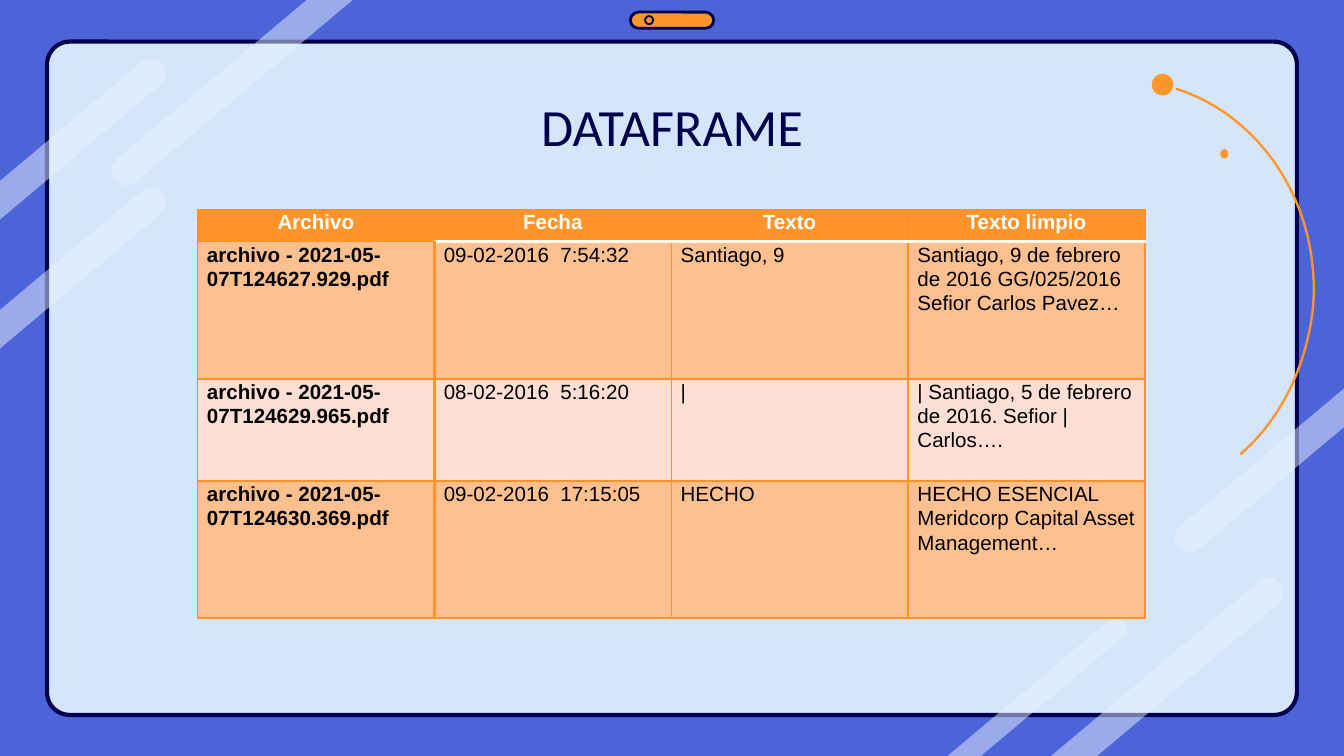
from math import atan2, cos, pi, radians, sin, tan

from lxml.etree import SubElement
from pptx import Presentation
from pptx.dml.color import RGBColor
from pptx.enum.shapes import MSO_SHAPE as Shape
from pptx.enum.text import MSO_ANCHOR as Anchor, PP_ALIGN as Align
from pptx.oxml.ns import qn
from pptx.util import Inches, Pt

COLORS = {
    "background": "4C64D8", "panel": "D5E6FC", "navy": "00004D",
    "stripe": "E9F3FF", "orange": "FF952B", "border": "FF9225",
    "band_dark": "FFC090", "band_light": "FFDED3",
    "white": "FFFFFF", "black": "000000",
}
WIDTH = 10
HEIGHT = WIDTH * 9 / 16
SLOPE = radians(40)

# cap centre x, cap centre y, radius, edge axis, edge position
STRIPES = [
    (9.44, 4.41, 0.11, "y", HEIGHT),
    (8.30, 4.68, 0.08, "y", HEIGHT),
    (0.94, 1.27, 0.11, "y", 0),
    (1.12, 0.55, 0.11, "x", 0),
    (1.12, 1.51, 0.11, "x", 0),
    (8.85, 4.00, 0.11, "x", WIDTH),
]
ORBIT_CURVES = [
    [(8.75, 0.66), (9.38, 0.86), (9.83, 1.52), (9.77, 2.29)],
    [(9.77, 2.29), (9.72, 2.73), (9.53, 3.12), (9.23, 3.38)],
]
TABLE_ROWS = [
    ["Archivo", "Fecha", "Texto", "Texto limpio"],
    ["archivo - 2021-05-07T124627.929.pdf", "09-02-2016  7:54:32", "Santiago, 9",
     "Santiago, 9 de febrero de 2016 GG/025/2016 Sefior Carlos Pavez…"],
    ["archivo - 2021-05-07T124629.965.pdf", "08-02-2016  5:16:20", "|",
     "| Santiago, 5 de febrero de 2016. Sefior | Carlos…."],
    ["archivo - 2021-05-07T124630.369.pdf", "09-02-2016  17:15:05", "HECHO",
     "HECHO ESENCIAL Meridcorp Capital Asset Management…"],
]
ROW_HEIGHTS = [0.24, 1.02, 0.76, 1.02]
ROW_FILLS = ["orange", "band_dark", "band_light", "band_dark"]


def color(name):
    """Return a named colour."""
    return RGBColor.from_string(COLORS[name])


def style_shape(shape, fill=None, line=None, weight=1):
    """Set the fill and outline of a shape and drop its shadow."""
    shape.shadow.inherit = False
    if fill:
        shape.fill.solid()
        shape.fill.fore_color.rgb = color(fill)
    else:
        shape.fill.background()
    if line:
        shape.line.color.rgb = color(line)
        shape.line.width = Pt(weight)
    else:
        shape.line.fill.background()


def add_preset(page, kind, box, fill=None, line=None, weight=1, corner=None):
    """Add a preset shape in a box given in inches."""
    shape = page.shapes.add_shape(kind, *map(Inches, box))
    if corner is not None:
        shape.adjustments[0] = corner
    style_shape(shape, fill, line, weight)


def add_outline(page, points, close):
    """Build a freeform through points given in inches."""
    corners = [(Inches(x), Inches(y)) for x, y in points]
    builder = page.shapes.build_freeform(*corners[0])
    builder.add_line_segments(corners[1:], close=close)
    return builder.convert_to_shape()


def add_stripe(page, x, y, radius, axis, edge):
    """Add a translucent slanted stripe from a round cap to a slide edge."""
    if axis == "y":
        half = radius / sin(SLOPE)
        middle = x - (edge - y) / tan(SLOPE)
        ends = [(middle - half, edge), (middle + half, edge)]
    else:
        half = radius / cos(SLOPE)
        middle = y - (edge - x) * tan(SLOPE)
        ends = [(edge, middle - half), (edge, middle + half)]
    facing = atan2(y - (ends[0][1] + ends[1][1]) / 2,
                   x - (ends[0][0] + ends[1][0]) / 2)
    angles = [facing - pi / 2 + pi * step / 16 for step in range(17)]
    cap = [(x + radius * cos(angle), y + radius * sin(angle)) for angle in angles]
    ends.sort(key=lambda end: end[0] * cos(angles[-1]) + end[1] * sin(angles[-1]),
              reverse=True)
    stripe = add_outline(page, cap + ends, True)
    style_shape(stripe, "stripe")
    tint = stripe._element.spPr.find(qn("a:solidFill"))[0]
    SubElement(tint, qn("a:alpha"), val="50000")


def curve_points(start, first, second, end, steps=24):
    """Return points along a cubic curve."""
    points = []
    for step in range(steps + 1):
        t = step / steps
        weights = ((1 - t) ** 3, 3 * t * (1 - t) ** 2, 3 * t * t * (1 - t), t ** 3)
        points.append(tuple(
            sum(weight * point[axis] for weight, point
                in zip(weights, (start, first, second, end)))
            for axis in (0, 1)))
    return points


def add_orbit(page):
    """Add the orange arc with its two dots."""
    first, second = (curve_points(*curve) for curve in ORBIT_CURVES)
    arc = add_outline(page, first + second[1:], False)
    style_shape(arc, line="orange", weight=1.25)
    add_preset(page, Shape.OVAL, (9.08, 1.11, 0.06, 0.07), "orange")
    add_preset(page, Shape.OVAL, (8.57, 0.55, 0.16, 0.16), "orange")


def add_title(page, text):
    """Bring the slide title to the front, place and format it."""
    title = page.shapes.title
    title._element.getparent().append(title._element)
    title.left, title.top, title.width, title.height = map(
        Inches, (3.79, 0.6, 2.42, 0.63))
    frame = title.text_frame
    frame.text = text
    frame.word_wrap = True
    frame.vertical_anchor = Anchor.TOP
    frame.margin_left = frame.margin_right = Inches(0.1)
    frame.margin_top = frame.margin_bottom = Inches(0.1)
    format_text(frame.paragraphs[0], "Calibri", 28, "navy", False, Align.CENTER)


def format_text(para, font, size, ink, bold, align):
    """Format a paragraph and its runs."""
    para.alignment = align
    for span in para.runs:
        span.font.name = font
        span.font.size = Pt(size)
        span.font.bold = bold
        span.font.color.rgb = color(ink)


def set_border(cell, side, name, weight):
    """Draw one border of a cell; side is L, R, T or B."""
    line = SubElement(cell._tc.get_or_add_tcPr(), qn("a:ln" + side),
                      w=str(Pt(weight)))
    fill = SubElement(line, qn("a:solidFill"))
    SubElement(fill, qn("a:srgbClr"), val=COLORS[name])


def format_cell(cell, row, column):
    """Format a cell by its place in the table."""
    header, label = row == 0, column == 0
    cell.margin_left = cell.margin_right = Inches(0.07)
    cell.margin_top = cell.margin_bottom = 0
    borders = {side: ("border", 0.75) for side in "LRTB"}
    if not header and column < 2:
        borders["R" if label else "L"] = ("orange", 2)
    if row < 2 and not label:
        borders["B" if header else "T"] = ("white", 2)
    for side, (name, weight) in borders.items():
        set_border(cell, side, name, weight)
    cell.fill.solid()
    cell.fill.fore_color.rgb = color(ROW_FILLS[row])
    para = cell.text_frame.paragraphs[0]
    para.line_spacing = 1.07
    para.space_after = Pt(8)
    format_text(para, "Arial", 11, "white" if header else "black",
                header or label, Align.CENTER if header else Align.LEFT)


def add_data_table(page):
    """Add the table of files, dates and texts."""
    box = map(Inches, (1.47, 1.56, 7.05, sum(ROW_HEIGHTS)))
    table = page.shapes.add_table(len(TABLE_ROWS), len(TABLE_ROWS[0]), *box).table
    table.horz_banding = False
    for row, texts in enumerate(TABLE_ROWS):
        table.rows[row].height = Inches(ROW_HEIGHTS[row])
        for column, text in enumerate(texts):
            cell = table.cell(row, column)
            cell.text_frame.text = text
            format_cell(cell, row, column)


def main():
    """Build the slide and save the deck."""
    deck = Presentation()
    deck.slide_width, deck.slide_height = Inches(WIDTH), Inches(HEIGHT)
    page = deck.slides.add_slide(deck.slide_layouts[5])
    page.background.fill.solid()
    page.background.fill.fore_color.rgb = color("background")
    add_preset(page, Shape.ROUNDED_RECTANGLE, (0.35, 0.31, 9.3, 5.01),
               "panel", "navy", 2.25, 0.034)
    for stripe in STRIPES:
        add_stripe(page, *stripe)
    add_preset(page, Shape.ROUNDED_RECTANGLE, (4.69, 0.09, 0.62, 0.12),
               "orange", "navy", 1.5, 0.5)
    add_preset(page, Shape.OVAL, (4.8, 0.12, 0.06, 0.06), line="navy")
    add_orbit(page)
    add_title(page, "DATAFRAME")
    add_data_table(page)
    deck.save("out.pptx")


main()
